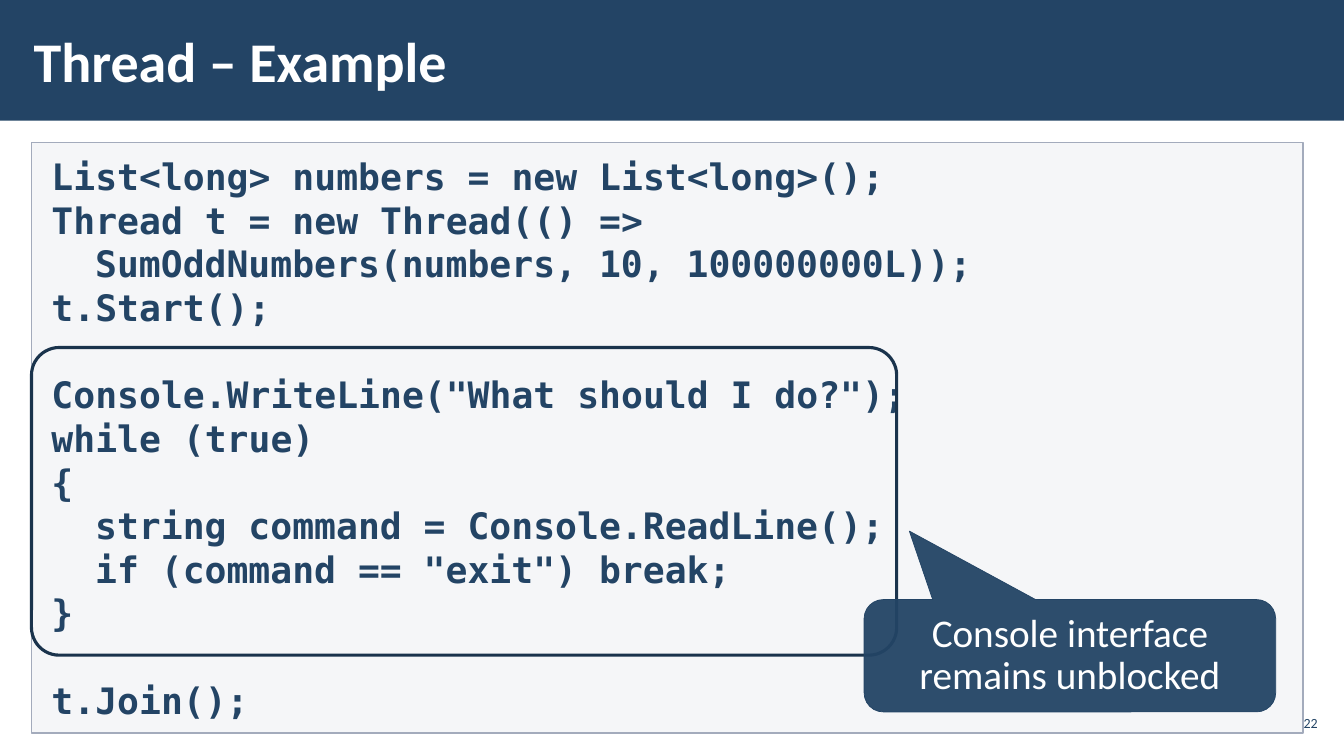
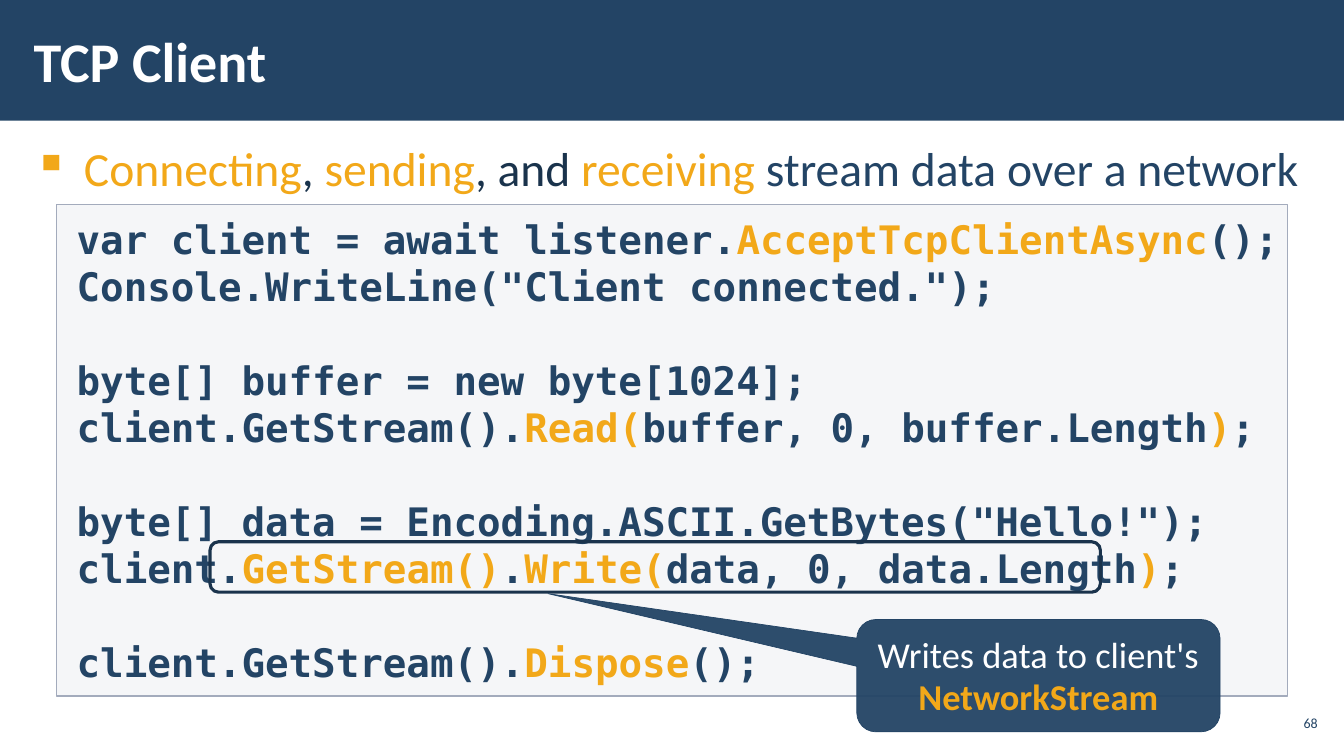
from lxml import etree
from pptx import Presentation
from pptx import util as u
from pptx.dml.color import RGBColor
from pptx.enum import shapes, text
from pptx.oxml import ns

PX = 9525
WIDTH, HEIGHT = 1280, 720
COLORS = {
    "navy": "234465",
    "ink": "1A334C",
    "accent": "F2A819",
    "white": "FFFFFF",
    "panel": "C2C7D2",
    "panel_line": "A3ABBC",
}
SANS, MONO = "Calibri", "DejaVu Sans Mono"
CODE_INDENT = 19
CODE_LINE_HEIGHT = 1.2
MONO_ADVANCE = 0.6


def px(value):
    return u.Emu(value * PX)


def rgb(name):
    return RGBColor.from_string(COLORS[name])


def marked(content, color):
    """Split text at bars into runs; every second one takes the accent colour."""
    pieces = content.split("|")
    return [(piece, "accent" if i % 2 else color) for i, piece in enumerate(pieces) if piece]


def add_runs(paragraph, runs, size, font=SANS, bold=False):
    for content, color in runs:
        run = paragraph.add_run()
        run.text = content
        run.font.name = font
        run.font.size = u.Pt(size)
        run.font.bold = bold
        run.font.color.rgb = rgb(color)


def set_frame(shape, margin_x, margin_y, anchor):
    frame = shape.text_frame
    frame.word_wrap = True
    frame.margin_left = frame.margin_right = px(margin_x)
    frame.margin_top = frame.margin_bottom = px(margin_y)
    frame.vertical_anchor = anchor
    return frame


def set_indent(paragraph, left, first=0):
    properties = paragraph._p.get_or_add_pPr()
    properties.set("marL", str(int(left)))
    properties.set("indent", str(int(first)))
    return properties


def add_text(slide, box, margin_x, margin_y, anchor=text.MSO_ANCHOR.MIDDLE):
    shape = slide.shapes.add_textbox(*map(px, box))
    return set_frame(shape, margin_x, margin_y, anchor).paragraphs[0]


def add_box(slide, kind, box, fill=None, opacity=100, line=None, line_width=1):
    shape = slide.shapes.add_shape(kind, *map(px, box))
    shape.shadow.inherit = False
    if fill:
        shape.fill.solid()
        shape.fill.fore_color.rgb = rgb(fill)
        if opacity < 100:
            color = shape.element.spPr.find(ns.qn("a:solidFill"))[0]
            etree.SubElement(color, ns.qn("a:alpha"), val=str(opacity * 1000))
    else:
        shape.fill.background()
    if line:
        shape.line.color.rgb = rgb(line)
        shape.line.width = u.Pt(line_width)
    else:
        shape.line.fill.background()
    return shape


def add_base(presentation, title, number):
    """Add a slide with the title band and the page number."""
    slide = presentation.slides.add_slide(presentation.slide_layouts[6])
    add_box(slide, shapes.MSO_SHAPE.RECTANGLE, (0, 0, WIDTH, 115), "navy")
    paragraph = add_text(slide, (20, 11, 998, 93), 12, 4)
    add_runs(paragraph, [(title, "white")], 40, bold=True)
    paragraph = add_text(slide, (1214, 672, 45, 33), 4, 4)
    paragraph.alignment = text.PP_ALIGN.RIGHT
    add_runs(paragraph, [(str(number), "navy")], 10)
    return slide


def add_bullet(slide, box, runs):
    paragraph = add_text(slide, box, 12, 4, text.MSO_ANCHOR.TOP)
    paragraph.line_spacing = 1.05
    paragraph.space_before = paragraph.space_after = u.Pt(6)
    properties = set_indent(paragraph, px(48), -px(48))
    color = etree.SubElement(properties, ns.qn("a:buClr"))
    etree.SubElement(color, ns.qn("a:srgbClr"), val=COLORS["accent"])
    etree.SubElement(properties, ns.qn("a:buChar"), char="▪")
    add_runs(paragraph, runs, 34)


def add_code(slide, box, blocks, size):
    """Set blocks of (level, line) pairs, one line of space between blocks."""
    shape = add_box(slide, shapes.MSO_SHAPE.RECTANGLE, box, "panel", 15, "panel_line")
    frame = set_frame(shape, 0, 8, text.MSO_ANCHOR.MIDDLE)
    level_width = u.Pt(2 * MONO_ADVANCE * size)
    paragraph = frame.paragraphs[0]
    for block_index, block in enumerate(blocks):
        for line_index, (level, line) in enumerate(block):
            if block_index or line_index:
                paragraph = frame.add_paragraph()
            if block_index and not line_index:
                paragraph.space_before = u.Pt(CODE_LINE_HEIGHT * size)
            paragraph.alignment = text.PP_ALIGN.LEFT
            set_indent(paragraph, px(CODE_INDENT) + level * level_width)
            add_runs(paragraph, marked(line, "navy"), size, MONO, True)


def add_highlight(slide, box, corner):
    shape = add_box(slide, shapes.MSO_SHAPE.ROUNDED_RECTANGLE, box, line="ink", line_width=2.25)
    shape.adjustments[0] = corner


def add_callout(slide, box, tip, size):
    """Add an empty callout and return a function that adds its lines."""
    shape = add_box(slide, shapes.MSO_SHAPE.ROUNDED_RECTANGULAR_CALLOUT, box,
                    "navy", 95, "navy", 0.5)
    for index, value in enumerate((*tip, 0.17)):
        shape.adjustments[index] = value
    frame = set_frame(shape, 10, 8, text.MSO_ANCHOR.MIDDLE)

    def add_line(content, color="white", bold=False, first=False):
        paragraph = frame.paragraphs[0] if first else frame.add_paragraph()
        paragraph.alignment = text.PP_ALIGN.CENTER
        paragraph.line_spacing = u.Pt(30)
        add_runs(paragraph, [(content, color)], size, bold=bold)
        return paragraph

    return add_line


def build_thread_slide(presentation):
    slide = add_base(presentation, "Thread – Example", 22)
    add_code(slide, (30, 136, 1211, 562), [
        [(0, "List<long> numbers = new List<long>();"),
         (0, "Thread t = new Thread(() =>"),
         (1, "SumOddNumbers(numbers, 10, 100000000L));"),
         (0, "t.Start();")],
        [(0, 'Console.WriteLine("What should I do?");'),
         (0, "while (true)"),
         (0, "{"),
         (1, "string command = Console.ReadLine();"),
         (1, 'if (command == "exit") break;'),
         (0, "}")],
        [(0, "t.Join();")],
    ], 26)
    add_highlight(slide, (30, 331, 824, 293), 0.09)
    add_line = add_callout(slide, (823, 571, 392, 107), (-0.39, -1.11), 28)
    add_line("Console interface", first=True)
    add_line("remains unblocked")


def build_client_slide(presentation):
    slide = add_base(presentation, "TCP Client", 68)
    add_bullet(slide, (20, 126, 1240, 546), [
        *marked("|Connecting|, |sending|, and |receiving|", "ink"),
        (" stream data over a network", "navy"),
    ])
    add_code(slide, (54, 195, 1172, 468), [
        [(0, "var client = await listener.|AcceptTcpClientAsync|();"),
         (0, 'Console.WriteLine("Client connected.");')],
        [(0, "byte[] buffer = new byte[1024];"),
         (0, "client.GetStream().|Read(|buffer, 0, buffer.Length|)|;")],
        [(0, 'byte[] data = Encoding.ASCII.GetBytes("Hello!");'),
         (0, "client.|GetStream()|.|Write(|data, 0, data.Length|)|;")],
        [(0, "client.GetStream().|Dispose|();")],
    ], 28)
    add_highlight(slide, (200, 516, 848, 48), 0.17)
    add_line = add_callout(slide, (816, 590, 346, 107), (-1.35, -0.73), 26)
    paragraph = add_line("Writes data to client's ", first=True)
    add_runs(paragraph, [("NetworkStream", "accent")], 26, bold=True)


def main():
    presentation = Presentation()
    presentation.slide_width, presentation.slide_height = px(WIDTH), px(HEIGHT)
    build_thread_slide(presentation)
    build_client_slide(presentation)
    presentation.save("out.pptx")


if __name__ == "__main__":
    main()
